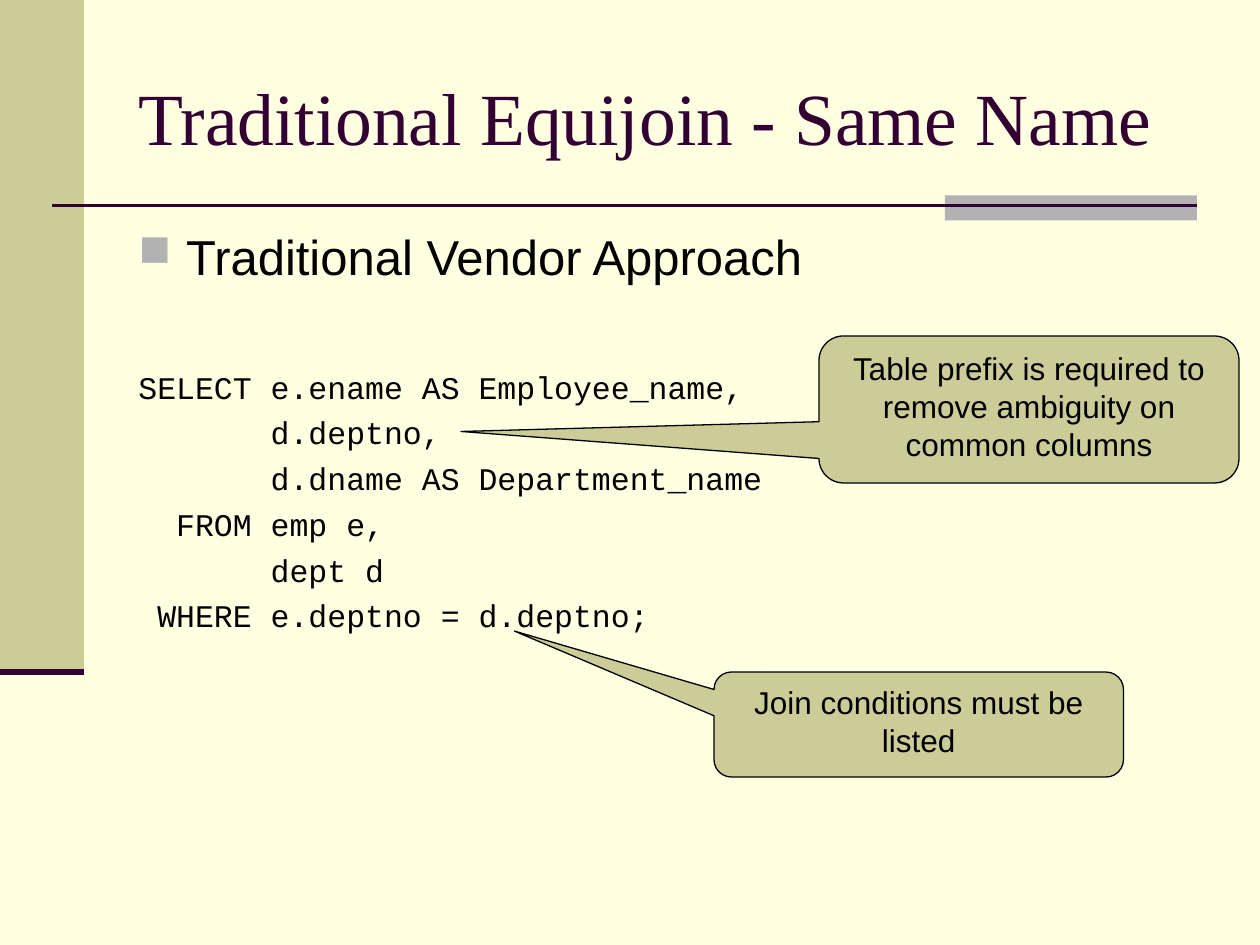
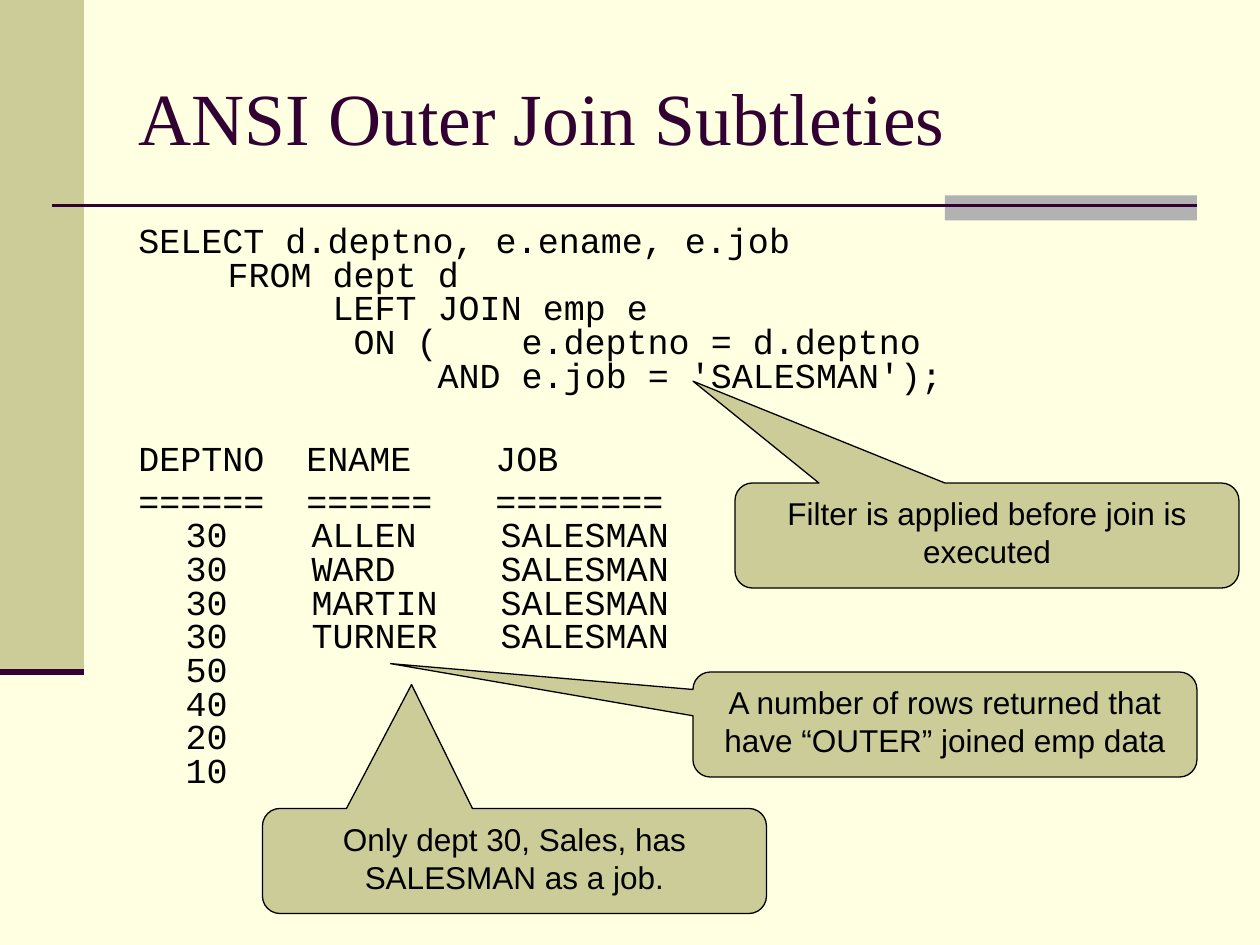
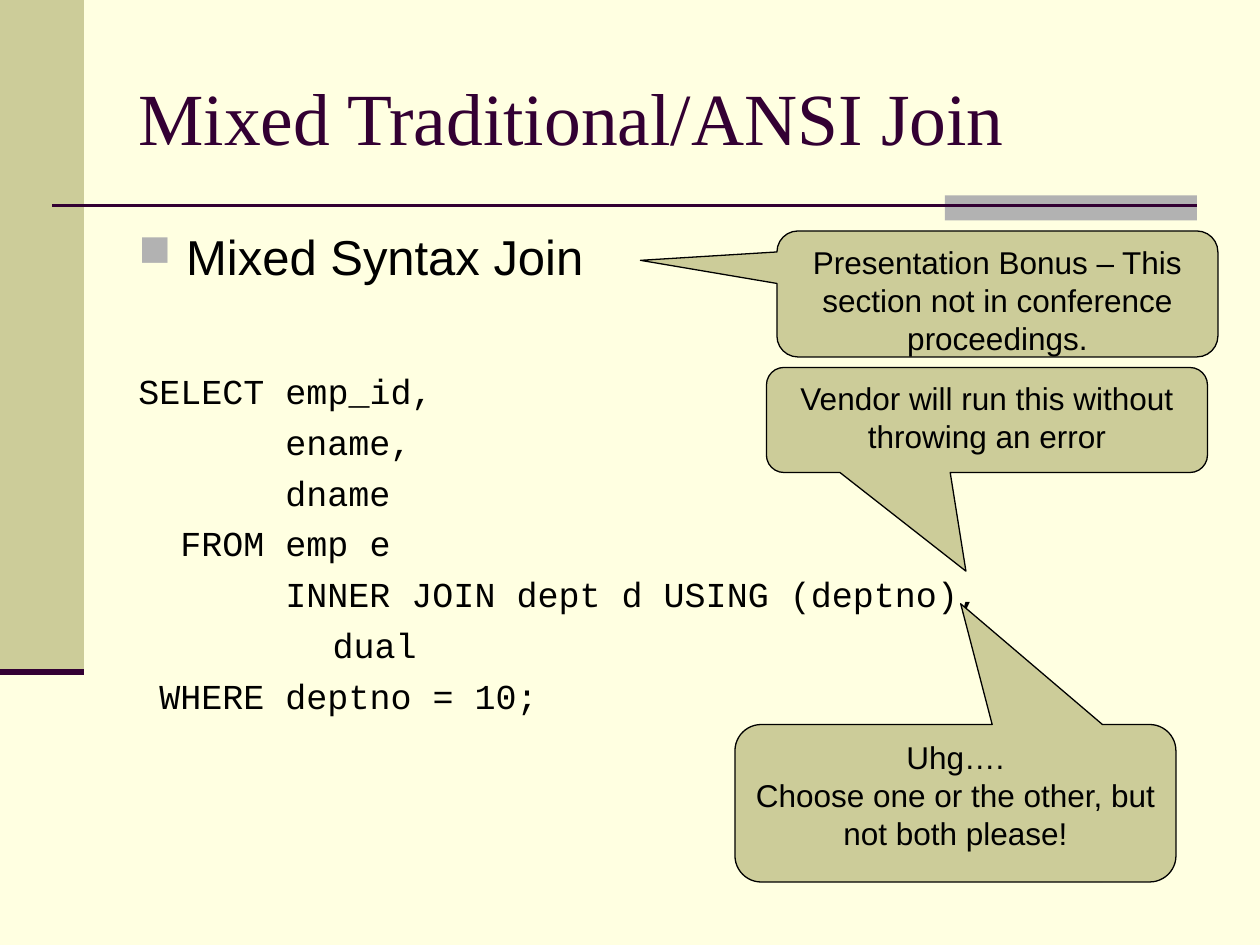
from dataclasses import dataclass

from lxml.etree import SubElement
from pptx import Presentation
from pptx.dml.color import RGBColor
from pptx.enum.shapes import MSO_CONNECTOR as Connector, MSO_SHAPE as Preset
from pptx.enum.text import MSO_ANCHOR as Anchor, PP_ALIGN as Align
from pptx.oxml.ns import qn
from pptx.util import Emu, Inches, Pt

CREAM, KHAKI, GREY, PLUM, BLACK = "FFFFE1", "CCCC99", "B2B2B2", "330033", "000000"
SERIF, SANS, MONO = "Times New Roman", "Arial", "Courier New"
WIDTH, HEIGHT = Inches(10), Inches(7.5)
UNIT = WIDTH / 120  # the slide is a grid of 120 columns and 90 rows
MONO_ADVANCE = 0.6  # character width as a share of the text size
HANG = 2.25  # hanging indent of a wrapped line, in characters


@dataclass(frozen=True)
class Box:
    left: float
    top: float
    width: float
    height: float

    def emu(self) -> list[Emu]:
        return [grid(value) for value in (self.left, self.top, self.width, self.height)]


@dataclass(frozen=True)
class Callout:
    text: str
    box: Box
    tip: tuple[float, float]


@dataclass(frozen=True)
class CodeLine:
    """Pieces of one line, each with the character column where it starts."""
    pieces: tuple[tuple[float, str], ...]
    before: float = 0


@dataclass(frozen=True)
class JoinSlide:
    title: str
    code: list[CodeLine]
    code_size: float
    callouts: list[Callout]
    heading: str = ""
    spacing: float = 1.0


TITLE_BOX = Box(12, 3.6, 102, 15)
BODY_BOX = Box(12, 21, 102, 59.4)
SIDEBAR = Box(0, 0, 8, 64)
ACCENT = Box(90, 18.6, 24, 2.4)


def grid(units: float) -> Emu:
    return Emu(round(units * UNIT))


def color(value: str) -> RGBColor:
    return RGBColor.from_string(value)


def line(column: float, text: str, before: float = 0) -> CodeLine:
    return CodeLine(((column, text),), before)


def format_runs(paragraph, font: str, size: float, text_color: str) -> None:
    for run in paragraph.runs:
        run.font.name, run.font.size = font, Pt(size)
        run.font.color.rgb = color(text_color)


def add_panel(slide, preset, box: Box, fill: str):
    shape = slide.shapes.add_shape(preset, *box.emu())
    shape.shadow.inherit = False
    shape.fill.solid()
    shape.fill.fore_color.rgb = color(fill)
    shape.line.fill.background()
    return shape


def add_rule(slide, left: float, right: float, top: float, weight: float) -> None:
    rule = slide.shapes.add_connector(
        Connector.STRAIGHT, grid(left), grid(top), grid(right), grid(top))
    rule.line.color.rgb = color(PLUM)
    rule.line.width = Pt(weight)
    SubElement(rule._element.spPr, qn("a:effectLst"))


def add_text_frame(slide, box: Box):
    frame = slide.shapes.add_textbox(*box.emu()).text_frame
    frame.word_wrap = True
    return frame


def add_frame(slide, title: str) -> None:
    """Background, bands, rules and title shared by all slides."""
    slide.background.fill.solid()
    slide.background.fill.fore_color.rgb = color(CREAM)
    add_panel(slide, Preset.RECTANGLE, SIDEBAR, KHAKI)
    add_panel(slide, Preset.RECTANGLE, ACCENT, GREY)
    add_rule(slide, 5, 114, 19.6, 1.5)
    add_rule(slide, 0, SIDEBAR.width, SIDEBAR.height, 3.5)
    frame = add_text_frame(slide, TITLE_BOX)
    frame.vertical_anchor = Anchor.MIDDLE
    frame.text = title
    format_runs(frame.paragraphs[0], SERIF, 42, PLUM)


def write_heading(paragraph, text: str) -> None:
    paragraph.text = text
    paragraph.space_before = Pt(7)
    format_runs(paragraph, SANS, 28, BLACK)
    properties = paragraph._p.get_or_add_pPr()
    indent = Inches(0.38)
    properties.set("marL", str(indent))
    properties.set("indent", str(-indent))
    bullet_color = SubElement(properties, qn("a:buClr"))
    SubElement(bullet_color, qn("a:srgbClr"), val=GREY)
    SubElement(properties, qn("a:buSzPct"), val="90000")
    SubElement(properties, qn("a:buChar"), char="■")


def write_code(paragraph, code: CodeLine, size: float, spacing: float) -> None:
    paragraph.text = "".join(("\t" if column else "") + text for column, text in code.pieces)
    paragraph.line_spacing = spacing
    paragraph.space_before = Pt(code.before)
    format_runs(paragraph, MONO, size, BLACK)
    tabs = SubElement(paragraph._p.get_or_add_pPr(), qn("a:tabLst"))
    for column, _ in code.pieces:
        if column:
            position = Pt(column * size * MONO_ADVANCE)
            SubElement(tabs, qn("a:tab"), pos=str(position), algn="l")


def add_body(slide, content: JoinSlide) -> None:
    frame = add_text_frame(slide, BODY_BOX)
    paragraph = frame.paragraphs[0]
    if content.heading:
        write_heading(paragraph, content.heading)
        paragraph = frame.add_paragraph()
    for index, code in enumerate(content.code):
        if index:
            paragraph = frame.add_paragraph()
        write_code(paragraph, code, content.code_size, content.spacing)


def add_callout(slide, callout: Callout) -> None:
    box = callout.box
    shape = add_panel(slide, Preset.ROUNDED_RECTANGULAR_CALLOUT, box, KHAKI)
    shape.line.color.rgb = color(BLACK)
    shape.line.width = Pt(0.75)
    tip_x, tip_y = callout.tip
    shape.adjustments[0] = (tip_x - box.left) / box.width - 0.5
    shape.adjustments[1] = (tip_y - box.top) / box.height - 0.5
    frame = shape.text_frame
    frame.word_wrap = True
    frame.vertical_anchor = Anchor.TOP
    frame.text = callout.text
    for paragraph in frame.paragraphs:
        paragraph.alignment = Align.CENTER
        format_runs(paragraph, SANS, 18, BLACK)


def result_row(department: str, *employee: str) -> CodeLine:
    columns = (HANG, HANG + 6, HANG + 15)
    return CodeLine(tuple(zip(columns, (department, *employee))))


def header_row(*names: str, before: float) -> CodeLine:
    return CodeLine(tuple(zip((0, 8, 17), names)), before)


EQUIJOIN = JoinSlide(
    title="Traditional Equijoin - Same Name",
    heading="Traditional Vendor Approach",
    code_size=18,
    code=[
        line(0, "SELECT e.ename AS Employee_name,", 47),
        line(7, "d.deptno,", 4.5),
        line(7, "d.dname AS Department_name", 4.5),
        line(2, "FROM emp e,", 4.5),
        line(7, "dept d", 4.5),
        line(1, "WHERE e.deptno = d.deptno;", 4.5),
    ],
    callouts=[
        Callout("Table prefix is required to remove ambiguity on common columns",
                Box(78, 32, 40, 14), (43.9, 41.1)),
        Callout("Join conditions must be listed", Box(68, 64, 39, 10), (49, 60.1)),
    ],
)

OUTER_JOIN = JoinSlide(
    title="ANSI Outer Join Subtleties",
    code_size=20,
    spacing=0.8,
    code=[
        line(0, "SELECT d.deptno, e.ename, e.job", 5),
        line(HANG + 2, "FROM dept d"),
        line(HANG + 7, "LEFT JOIN emp e"),
        CodeLine(((HANG + 8, "ON ("), (HANG + 16, "e.deptno = d.deptno"))),
        line(HANG + 12, "AND e.job = 'SALESMAN');"),
        header_row("DEPTNO", "ENAME", "JOB", before=28.7),
        header_row("======", "======", "========", before=5),
        *(result_row("30", name, "SALESMAN") for name in ("ALLEN", "WARD", "MARTIN", "TURNER")),
        *(result_row(department) for department in ("50", "40", "20", "10")),
    ],
    callouts=[
        Callout("Filter is applied before join is executed", Box(70, 46, 48, 10), (66, 36.3)),
        Callout("A number of rows returned that have “OUTER” joined emp data",
                Box(66, 64, 48, 10), (37.2, 63.2)),
        Callout("Only dept 30, Sales, has SALESMAN as a job.", Box(25, 77, 48, 10), (39.2, 65.2)),
    ],
)

MIXED_JOIN = JoinSlide(
    title="Mixed Traditional/ANSI Join",
    heading="Mixed Syntax Join",
    code_size=20,
    code=[
        line(0, "SELECT emp_id,", 48),
        line(7, "ename,", 5),
        line(7, "dname", 5),
        line(2, "FROM emp e", 5),
        line(7, "INNER JOIN dept d USING (deptno),", 5),
        line(HANG + 7, "dual", 5),
        line(1, "WHERE deptno = 10;", 5),
    ],
    callouts=[
        Callout("Uhg….\nChoose one or the other, but not both please!",
                Box(70, 69, 42, 15), (91.5, 57.5)),
        Callout("Vendor will run this without throwing an error",
                Box(73, 35, 42, 10), (92, 54.4)),
        Callout("Presentation Bonus – This section not in conference proceedings.",
                Box(74, 22, 42, 12), (61, 24.8)),
    ],
)


def main() -> None:
    presentation = Presentation()
    presentation.slide_width, presentation.slide_height = WIDTH, HEIGHT
    blank = presentation.slide_layouts[6]
    for content in (EQUIJOIN, OUTER_JOIN, MIXED_JOIN):
        slide = presentation.slides.add_slide(blank)
        add_frame(slide, content.title)
        add_body(slide, content)
        for callout in content.callouts:
            add_callout(slide, callout)
    presentation.save("out.pptx")


if __name__ == "__main__":
    main()
